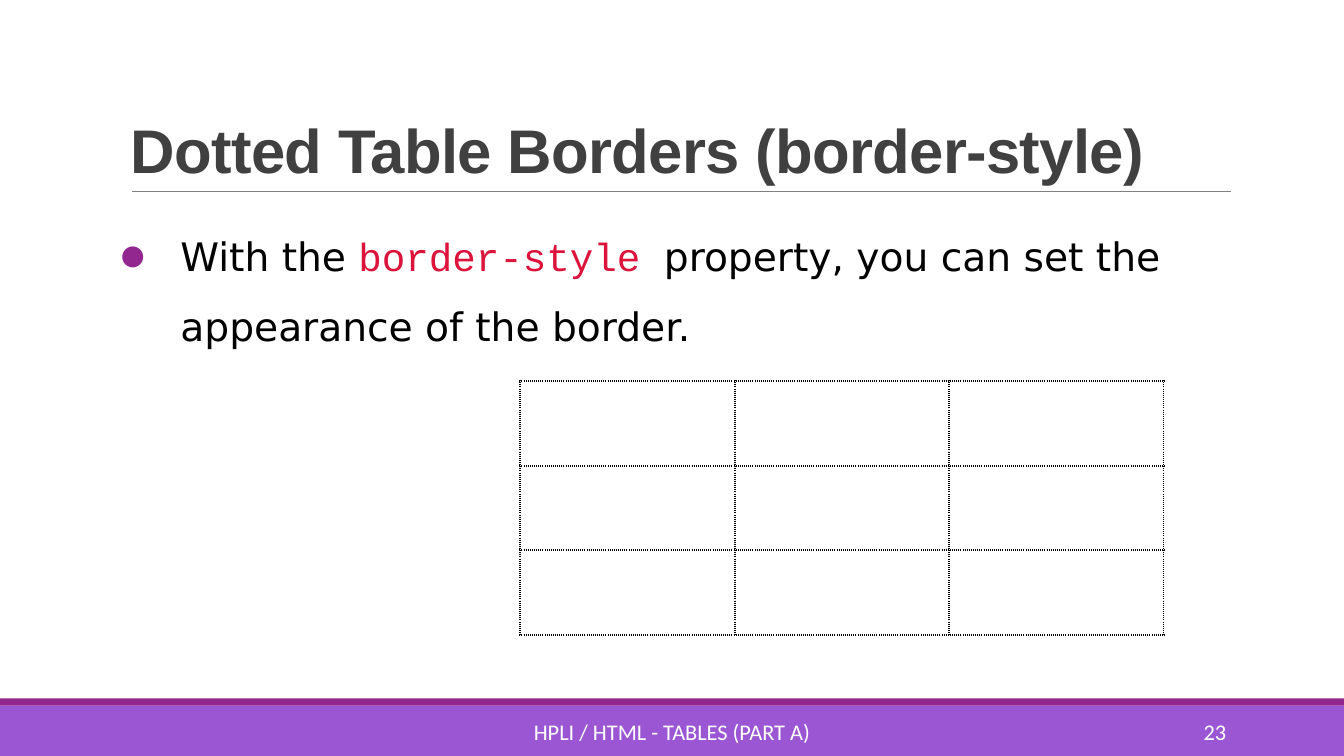
from dataclasses import dataclass

from lxml import etree
from pptx import Presentation
from pptx.dml.color import RGBColor
from pptx.enum.shapes import MSO_CONNECTOR, MSO_SHAPE
from pptx.enum.text import MSO_ANCHOR, PP_ALIGN
from pptx.oxml.ns import qn
from pptx.util import Inches, Pt

RECTANGLE = MSO_SHAPE.RECTANGLE
STRAIGHT = MSO_CONNECTOR.STRAIGHT
TOP, MIDDLE, BOTTOM = MSO_ANCHOR.TOP, MSO_ANCHOR.MIDDLE, MSO_ANCHOR.BOTTOM
LEFT, CENTER, RIGHT = PP_ALIGN.LEFT, PP_ALIGN.CENTER, PP_ALIGN.RIGHT


@dataclass(frozen=True)
class Theme:
    violet: str = "9B57D3"
    plum: str = "92278F"
    rule: str = "808080"
    heading: str = "404040"
    black: str = "000000"
    white: str = "FFFFFF"
    crimson: str = "DC143C"
    heading_font: str = "Arial"
    body_font: str = "DejaVu Sans"
    code_font: str = "Courier New"
    footer_font: str = "Calibri"
    heading_size: int = 44
    body_size: int = 28
    footer_size: int = 16


THEME = Theme()


def color(value):
    return RGBColor.from_string(value)


def add_band(slide, top, height, fill):
    """Full-width bar at the foot of the slide."""
    shape = slide.shapes.add_shape(
        RECTANGLE, 0, Inches(top), Inches(13.33), Inches(height))
    shape.shadow.inherit = False
    shape.fill.solid()
    shape.fill.fore_color.rgb = color(fill)
    shape.line.fill.background()


def add_rule(slide, left, right, top):
    line = slide.shapes.add_connector(
        STRAIGHT, Inches(left), Inches(top), Inches(right), Inches(top))
    line.line.color.rgb = color(THEME.rule)
    line.line.width = Pt(0.5)
    etree.SubElement(line._element.spPr, qn("a:effectLst"))


def add_text(slide, box, runs, size, anchor=TOP, align=LEFT, side_inset=0.1):
    """Text box of one paragraph; runs are (text, font, colour) tuples."""
    shape = slide.shapes.add_textbox(*(Inches(value) for value in box))
    frame = shape.text_frame
    frame.word_wrap = True
    frame.vertical_anchor = anchor
    frame.margin_left = frame.margin_right = Inches(side_inset)
    paragraph = frame.paragraphs[0]
    paragraph.alignment = align
    for text, font, fill in runs:
        run = paragraph.add_run()
        run.text = text
        run.font.name = font
        run.font.size = Pt(size)
        run.font.color.rgb = color(fill)
    return paragraph


def add_bullet(paragraph, indent):
    properties = paragraph._p.get_or_add_pPr()
    properties.set("marL", str(Inches(indent)))
    properties.set("indent", str(-Inches(indent)))
    bullet_color = etree.SubElement(properties, qn("a:buClr"))
    etree.SubElement(bullet_color, qn("a:srgbClr"), val=THEME.plum)
    etree.SubElement(properties, qn("a:buSzPct"), val="70000")
    etree.SubElement(properties, qn("a:buFont"), typeface=THEME.body_font)
    etree.SubElement(properties, qn("a:buChar"), char="●")


def set_dotted_borders(cell, width):
    properties = cell._tc.get_or_add_tcPr()
    for position, side in enumerate(("lnL", "lnR", "lnT", "lnB")):
        border = etree.Element(qn(f"a:{side}"), w=str(Pt(width)))
        fill = etree.SubElement(border, qn("a:solidFill"))
        etree.SubElement(fill, qn("a:srgbClr"), val=THEME.black)
        etree.SubElement(border, qn("a:prstDash"), val="sysDot")
        properties.insert(position, border)


def add_dotted_table(slide, left, top, width, height, count):
    table = slide.shapes.add_table(
        count, count, Inches(left), Inches(top),
        Inches(width), Inches(height)).table
    table.first_row = table.horz_banding = False
    for cell in table.iter_cells():
        cell.fill.solid()
        cell.fill.fore_color.rgb = color(THEME.white)
        set_dotted_borders(cell, 1.5)


def add_footer(slide, left, width, text, align):
    add_text(slide, (left, 7.06, width, 0.4),
             [(text, THEME.footer_font, THEME.white)],
             THEME.footer_size, MIDDLE, align)


def main():
    presentation = Presentation()
    presentation.slide_width = Inches(13.33)
    presentation.slide_height = Inches(7.5)
    slide = presentation.slides.add_slide(presentation.slide_layouts[6])

    # Frame of the slide
    add_band(slide, 7, 0.5, THEME.violet)
    add_band(slide, 6.93, 0.07, THEME.plum)
    add_rule(slide, 1.31, 12.21, 1.9)

    # Title
    title = add_text(
        slide, (1.2, 0.31, 11, 1.59),
        [("Dotted Table Borders (border-style)",
          THEME.heading_font, THEME.heading)],
        THEME.heading_size, BOTTOM)
    title.line_spacing = 0.85
    title.runs[0].font.bold = True
    title.runs[0].font._element.set("spc", "-50")

    # Explanation
    body = add_text(
        slide, (1.2, 2.02, 11, 4.4),
        [("With the ", THEME.body_font, THEME.black),
         ("border-style ", THEME.code_font, THEME.crimson),
         ("property, you can set the appearance of the border.",
          THEME.body_font, THEME.black)],
        THEME.body_size, side_inset=0)
    body.line_spacing = 1.5
    body.space_before = Pt(6)
    add_bullet(body, 0.59)

    # Footer
    add_footer(slide, 4.03, 5.27, "HPLI / HTML - TABLES (PART A)", CENTER)
    add_footer(slide, 10.83, 1.43, "23", RIGHT)

    # Sample table
    add_dotted_table(slide, 5.16, 3.78, 6.38, 2.52, 3)

    presentation.save("out.pptx")


if __name__ == "__main__":
    main()
